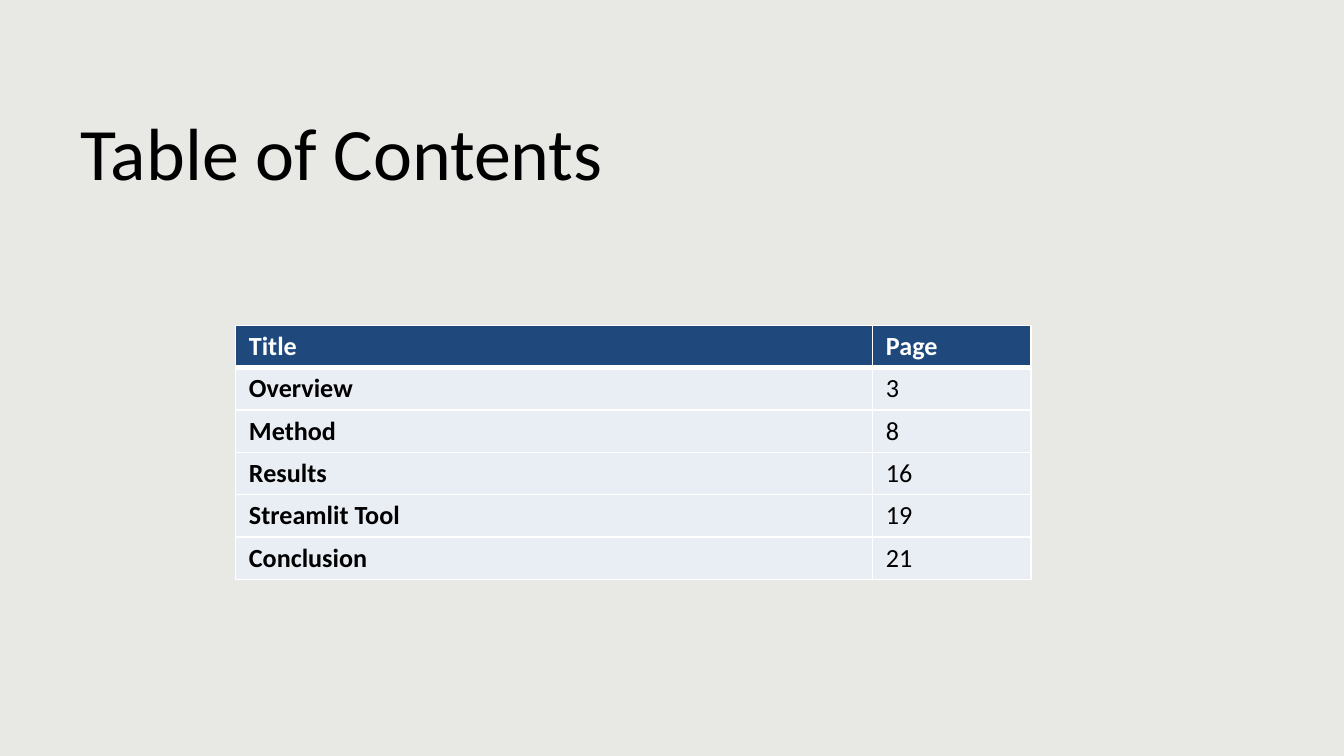
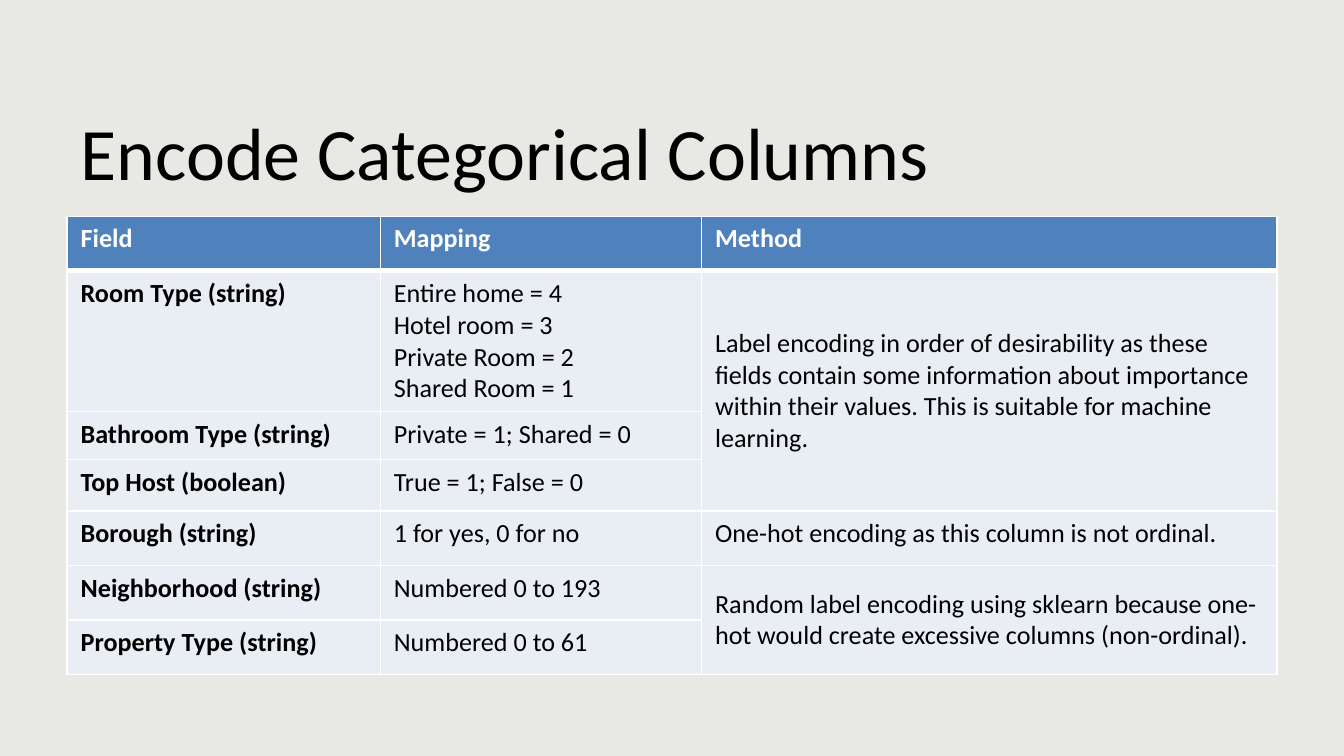
from lxml import etree
from pptx import Presentation
from pptx.dml.color import RGBColor
from pptx.enum import text
from pptx.oxml import ns
from pptx.util import Cm, Pt

COLOURS = {
    "background": "E8E8E4",
    "ink": "000000",
    "white": "FFFFFF",
    "navy": "1F497D",
    "blue": "4F81BD",
    "body": "E9EDF4",
}
FONT = "Calibri"
TITLE_BOX = {"left": 1.27, "top": 1.96, "width": 22.86, "height": 1.78}
THIN, THICK = 1, 3

# A None cell belongs to the merged cell above it.
SLIDES = [
    {
        "title": "Table of Contents",
        "corner": (4.45, 6.15),
        "columns": [12.04, 3],
        "heights": [0.8] * 6,
        "header": "navy",
        "format": {"vertical_anchor": text.MSO_ANCHOR.MIDDLE,
                   "margin_top": 0, "margin_bottom": 0},
        "rows": [
            ("Title", "Page"),
            ("Overview", "3"),
            ("Method", "8"),
            ("Results", "16"),
            ("Streamlit Tool", "19"),
            ("Conclusion", "21"),
        ],
    },
    {
        "title": "Encode Categorical Columns",
        "corner": (1.27, 4.09),
        "columns": [5.92, 6.07, 10.87],
        "heights": [1.03, 2.62, 0.91, 0.97, 1.03, 1.03, 1.03],
        "header": "blue",
        "format": {},
        "rows": [
            ("Field", "Mapping", "Method"),
            ("Room Type (string)",
             "Entire home = 4\nHotel room = 3\nPrivate Room = 2\nShared Room = 1",
             "Label encoding in order of desirability as these fields contain some "
             "information about importance within their values. This is suitable "
             "for machine learning."),
            ("Bathroom Type (string)", "Private = 1; Shared = 0", None),
            ("Top Host (boolean)", "True = 1; False = 0", None),
            ("Borough (string)", "1 for yes, 0 for no",
             "One-hot encoding as this column is not ordinal."),
            ("Neighborhood (string)", "Numbered 0 to 193",
             "Random label encoding using sklearn because one-hot would create "
             "excessive columns (non-ordinal)."),
            ("Property Type (string)", "Numbered 0 to 61", None),
        ],
    },
]


def rgb(name):
    return RGBColor.from_string(COLOURS[name])


def apply(target, values):
    for name, value in values.items():
        setattr(target, name, value)


def style_text(frame, size, colour, bold=False):
    for paragraph in frame.paragraphs:
        paragraph.alignment = text.PP_ALIGN.LEFT
        for run in paragraph.runs:
            apply(run.font, {"name": FONT, "size": Pt(size), "bold": bold})
            run.font.color.rgb = rgb(colour)


def add_borders(cell, row):
    """Draw white edges, with a thick rule between header and body."""
    widths = {"L": THIN, "R": THIN,
              "T": THICK if row == 1 else THIN,
              "B": THICK if row == 0 else THIN}
    properties = cell._tc.get_or_add_tcPr()
    for side, width in widths.items():
        line = etree.SubElement(properties, ns.qn(f"a:ln{side}"), w=str(Pt(width)))
        fill = etree.SubElement(line, ns.qn("a:solidFill"))
        etree.SubElement(fill, ns.qn("a:srgbClr"), val=COLOURS["white"])


def add_title(slide, wording):
    title = slide.shapes.title
    apply(title, {name: Cm(length) for name, length in TITLE_BOX.items()})
    frame = title.text_frame
    frame.text = wording
    apply(frame, {"vertical_anchor": text.MSO_ANCHOR.MIDDLE,
                  "auto_size": text.MSO_AUTO_SIZE.NONE, "word_wrap": True})
    style_text(frame, 39.6, "ink")


def merge_gaps(table, rows):
    """Merge each cell with the None cells that follow it down the column."""
    for column in range(len(rows[0])):
        start = 0
        for row in range(1, len(rows) + 1):
            if row < len(rows) and rows[row][column] is None:
                continue
            if row - start > 1:
                first = table.cell(start, column)
                first.merge(table.cell(row - 1, column))
                first.vertical_anchor = text.MSO_ANCHOR.MIDDLE
            start = row


def add_table(slide, content):
    rows, columns, heights = content["rows"], content["columns"], content["heights"]
    left, top = content["corner"]
    table = slide.shapes.add_table(
        len(rows), len(columns), Cm(left), Cm(top),
        Cm(sum(columns)), Cm(sum(heights))).table
    for column, width in zip(table.columns, columns):
        column.width = Cm(width)
    for row, height in zip(table.rows, heights):
        row.height = Cm(height)

    for r, row in enumerate(rows):
        for c, wording in enumerate(row):
            cell = table.cell(r, c)
            add_borders(cell, r)
            cell.fill.solid()
            cell.fill.fore_color.rgb = rgb("body" if r else content["header"])
            apply(cell, content["format"])
            if wording is not None:
                cell.text = wording
                style_text(cell.text_frame, 14, "ink" if r else "white",
                           bold=r == 0 or c == 0)
    merge_gaps(table, rows)


def main():
    deck = Presentation()
    apply(deck, {"slide_width": Cm(25.4), "slide_height": Cm(14.29)})
    background = deck.slide_master.background.fill
    background.solid()
    background.fore_color.rgb = rgb("background")
    title_only = deck.slide_layouts[5]
    for content in SLIDES:
        slide = deck.slides.add_slide(title_only)
        add_title(slide, content["title"])
        add_table(slide, content)
    deck.save("out.pptx")


if __name__ == "__main__":
    main()
